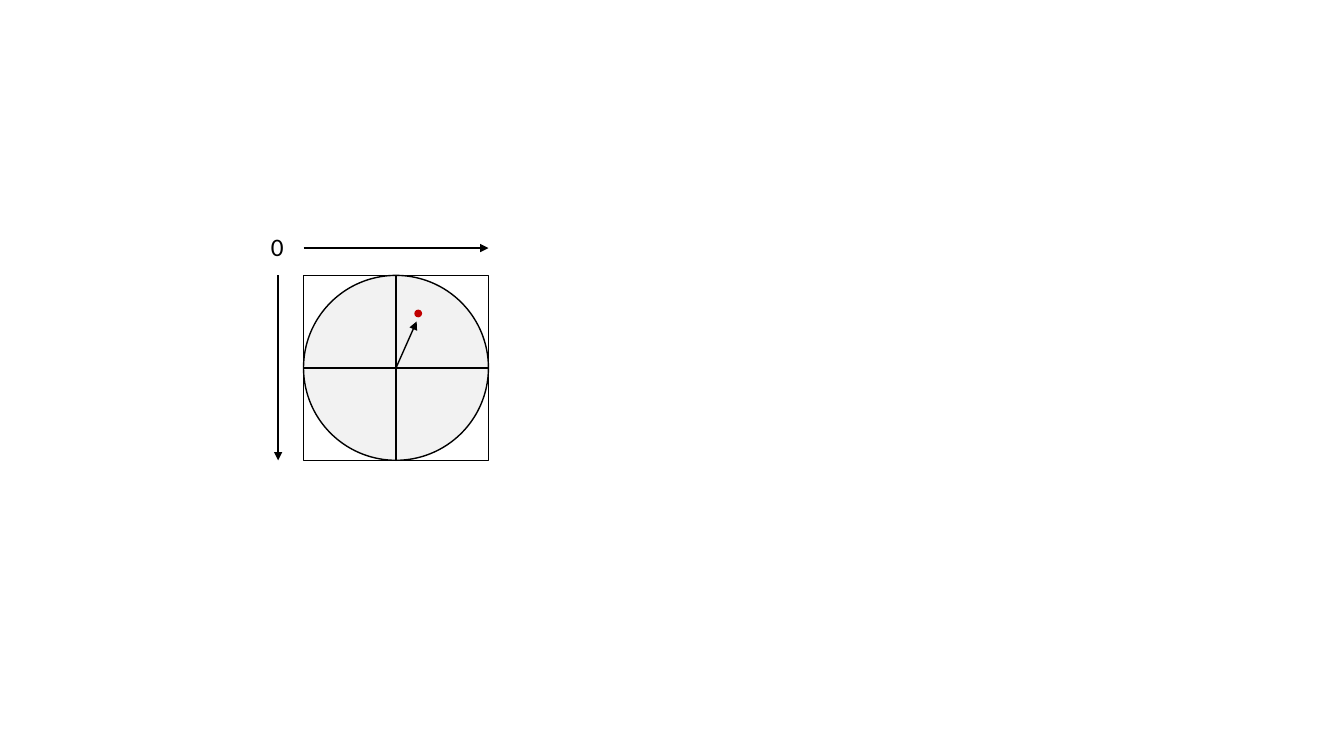
from dataclasses import dataclass

import pptx
import pptx.dml.color
import pptx.enum.shapes
import pptx.enum.text
import pptx.oxml
import pptx.oxml.ns
import pptx.shapes.autoshape
import pptx.shapes.connector
import pptx.slide
import pptx.util

Cm = pptx.util.Cm
Shape = pptx.enum.shapes.MSO_SHAPE


@dataclass(frozen=True)
class Theme:
    ink: str = "000000"
    paper: str = "FFFFFF"
    disc: str = "F2F2F2"
    point: str = "C00000"
    font: str = "Calibri"
    label_size: float = 18
    thin: float = 1
    thick: float = 1.5


@dataclass(frozen=True)
class Figure:
    kind: Shape
    left: float
    top: float
    size: float
    fill: str
    line: str


@dataclass(frozen=True)
class Segment:
    x1: float
    y1: float
    x2: float
    y2: float
    width: float
    arrow: bool = False


THEME = Theme()
LEFT, TOP, SIDE = 7.65, 6.94, 4.66
RIGHT, BOTTOM = LEFT + SIDE, TOP + SIDE
CENTER_X, CENTER_Y = LEFT + SIDE / 2, TOP + SIDE / 2
AXIS_X, AXIS_Y = 7.01, 6.25

SQUARE = Figure(Shape.RECTANGLE, LEFT, TOP, SIDE, THEME.paper, THEME.ink)
DISC = Figure(Shape.OVAL, LEFT, TOP, SIDE, THEME.disc, THEME.ink)
POINT = Figure(Shape.OVAL, 10.46, 7.82, 0.16, THEME.point, THEME.point)

AXES = [
    Segment(LEFT, AXIS_Y, RIGHT, AXIS_Y, THEME.thick, True),
    Segment(AXIS_X, TOP, AXIS_X, BOTTOM, THEME.thick, True),
]
DIAMETERS_AND_VECTOR = [
    Segment(LEFT, CENTER_Y, RIGHT, CENTER_Y, THEME.thin),
    Segment(CENTER_X, TOP, CENTER_X, BOTTOM, THEME.thin),
    Segment(CENTER_X, CENTER_Y, 10.5, 8.1, THEME.thin, True),
]


def rgb(value: str) -> pptx.dml.color.RGBColor:
    return pptx.dml.color.RGBColor.from_string(value)


def add_figure(s: pptx.slide.Slide, f: Figure) -> pptx.shapes.autoshape.Shape:
    sp = s.shapes.add_shape(f.kind, Cm(f.left), Cm(f.top), Cm(f.size), Cm(f.size))
    sp.shadow.inherit = False
    sp.fill.solid()
    sp.fill.fore_color.rgb = rgb(f.fill)
    sp.line.color.rgb = rgb(f.line)
    sp.line.width = pptx.util.Pt(THEME.thin)
    return sp


def add_segment(s: pptx.slide.Slide, g: Segment) -> pptx.shapes.connector.Connector:
    sp = s.shapes.add_connector(
        pptx.enum.shapes.MSO_CONNECTOR.STRAIGHT,
        Cm(g.x1), Cm(g.y1), Cm(g.x2), Cm(g.y2),
    )
    sp.line.color.rgb = rgb(THEME.ink)
    sp.line.width = pptx.util.Pt(g.width)
    qn = pptx.oxml.ns.qn
    properties = sp._element.spPr
    if g.arrow:
        line = properties.find(qn("a:ln"))
        line.append(line.makeelement(qn("a:tailEnd"), {"type": "triangle"}))
    properties.append(properties.makeelement(qn("a:effectLst"), {}))
    return sp


def add_origin_label(s: pptx.slide.Slide) -> pptx.shapes.autoshape.Shape:
    sp = s.shapes.add_textbox(Cm(6.58), Cm(5.71), Cm(0.84), Cm(1.02))
    tf = sp.text_frame
    frame_format = {
        "word_wrap": False,
        "auto_size": pptx.enum.text.MSO_AUTO_SIZE.SHAPE_TO_FIT_TEXT,
    }
    for name, value in frame_format.items():
        setattr(tf, name, value)
    r = tf.paragraphs[0].add_run()
    r.text = "0"
    font_format = {"name": THEME.font, "size": pptx.util.Pt(THEME.label_size)}
    for name, value in font_format.items():
        setattr(r.font, name, value)
    r.font.color.rgb = rgb(THEME.ink)
    return sp


def main() -> None:
    prs = pptx.Presentation()
    prs.slide_width, prs.slide_height = Cm(33.87), Cm(19.05)
    s = prs.slides.add_slide(prs.slide_layouts[6])
    add_figure(s, SQUARE)
    for axis in AXES:
        add_segment(s, axis)
    add_origin_label(s)
    add_figure(s, DISC)
    for segment in DIAMETERS_AND_VECTOR:
        add_segment(s, segment)
    add_figure(s, POINT)
    prs.save("out.pptx")


if __name__ == "__main__":
    main()
